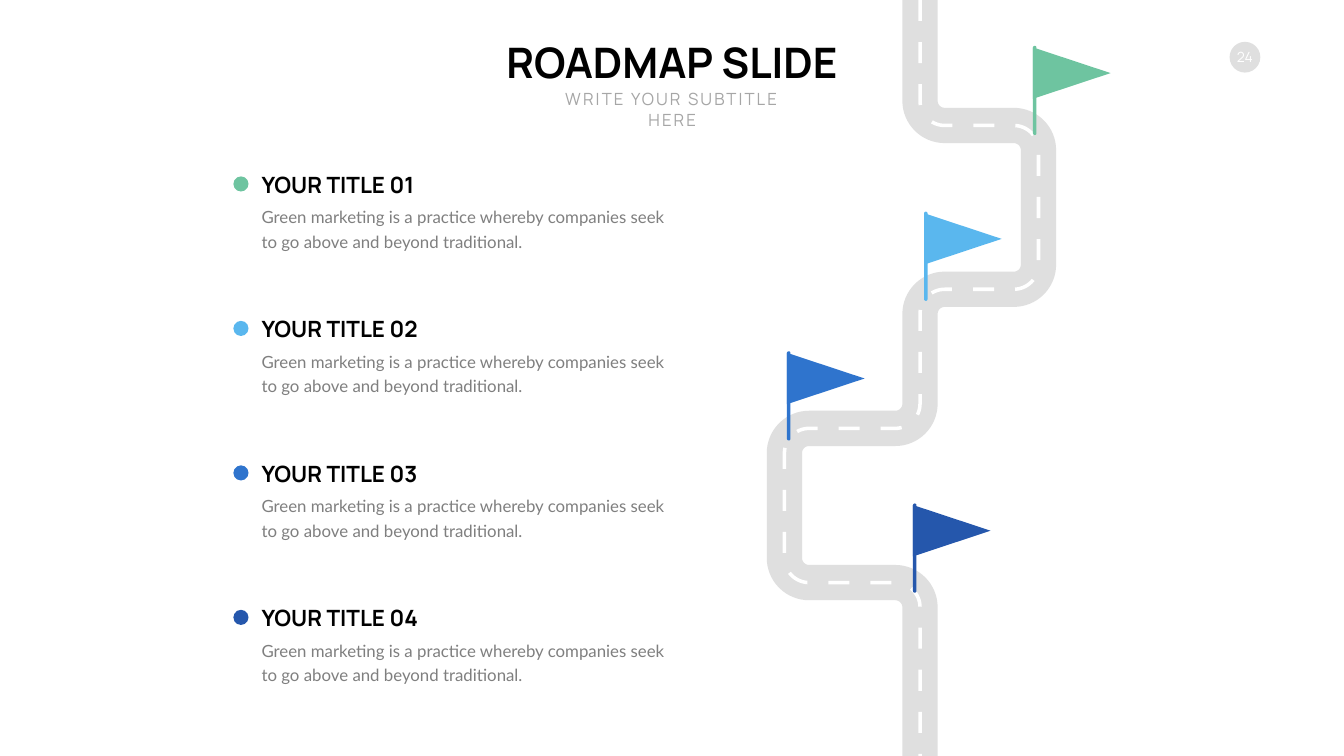
from itertools import pairwise
from math import cos, pi, sin
from pptx import Presentation
from pptx.dml.color import RGBColor
from pptx.enum.shapes import MSO_SHAPE
from pptx.enum.text import MSO_ANCHOR, MSO_AUTO_SIZE, PP_ALIGN
from pptx.util import Pt

# Content, lengths in px (100 px to the inch)
PX = 9144
WIDE, HIGH = 2666, 1500
TITLE, SUBTITLE, PAGE = "ROADMAP SLIDE", "WRITE YOUR SUBTITLE HERE", "24"
BODY = "Green marketing is a practice whereby companies seek to go above and beyond traditional."
# heading, heading width, colour, flag left, flag top
STEPS = [
    ("YOUR TITLE 01", 323, "6EC4A0", 2049, 91),
    ("YOUR TITLE 02", 332, "5AB7EE", 1833, 420),
    ("YOUR TITLE 03", 334, "2F74CD", 1561, 697),
    ("YOUR TITLE 04", 337, "2557AC", 1811, 999),
]
TURNS = [(1825, 0), (1825, 249), (2060, 249), (2060, 574), (1825, 574),
         (1825, 850), (1556, 850), (1556, 1156), (1825, 1156), (1825, HIGH)]
BEND, ROAD, MARK = 49, 35, 3.5  # bend radius, half widths
DASH, PITCH = 41.7, 83.4
STEP_TOP, STEP_GAP = 333, 286.67
GREY, WHITE, BLACK = "DFDFDF", "FFFFFF", "000000"

deck = Presentation()
deck.slide_width, deck.slide_height = WIDE * PX, HIGH * PX
slide = deck.slides.add_slide(deck.slide_layouts[6])
shapes = slide.shapes


def emu(*values):
    return [round(v * PX) for v in values]


def tint(text):
    return RGBColor.from_string(text)


def paint(shape, color):
    shape.shadow.inherit = False
    shape.fill.solid()
    shape.fill.fore_color.rgb = tint(color)
    shape.line.fill.background()
    return shape


def preset(kind, box, color):
    return paint(shapes.add_shape(kind, *emu(*box)), color)


def outline(loops, color):
    pen = shapes.build_freeform(*emu(*loops[0][0]))
    for i, loop in enumerate(loops):
        if i:
            pen.move_to(*emu(*loop[0]))
        pen.add_line_segments([emu(*p) for p in loop[1:]], close=True)
    return paint(pen.convert_to_shape(), color)


def write(frame, text, size, font, color, bold=False, align=PP_ALIGN.LEFT):
    para = frame.paragraphs[0]
    para.alignment = align
    run = para.add_run()
    run.text = text
    run.font.size, run.font.name, run.font.bold = Pt(size), font, bold
    run.font.color.rgb = tint(color)
    return para, run


def label(box, wrap, *style, **more):
    frame = shapes.add_textbox(*emu(*box)).text_frame
    frame.word_wrap = wrap
    frame.auto_size = MSO_AUTO_SIZE.SHAPE_TO_FIT_TEXT
    return frame, *write(frame, *style, **more)


def trace(turns):
    """Centre line as (distance, point, direction), with round bends."""
    knots = [complex(*t) for t in turns]
    ways = [(b - a) / abs(b - a) for a, b in pairwise(knots)]
    line = [(knots[0], ways[0])]
    for knot, (u, v) in zip(knots[1:], pairwise(ways)):
        hub = knot + BEND * (v - u)
        for i in range(17):
            t = pi / 2 * i / 16
            line.append((hub + BEND * (u * sin(t) - v * cos(t)),
                         u * cos(t) + v * sin(t)))
    line.append((knots[-1], ways[-1]))
    track, run = [(0, *line[0])], 0
    for (a, _), (b, way) in pairwise(line):
        run += abs(b - a)
        track.append((run, b, way))
    return track


def locate(track, dist):
    for (s, a, u), (e, b, v) in pairwise(track):
        if s <= dist <= e:
            t = (dist - s) / (e - s)
            return dist, a + (b - a) * t, u + (v - u) * t


def strip(track, start, end, half):
    part = [locate(track, start), *(k for k in track if start < k[0] < end),
            locate(track, end)]
    left = [p + way * 1j * half for _, p, way in part]
    right = [p - way * 1j * half for _, p, way in reversed(part)]
    return [(p.real, p.imag) for p in left + right]


# Page number
badge = preset(MSO_SHAPE.OVAL, (2439, 83, 61, 61), GREY).text_frame
badge.margin_left = badge.margin_right = badge.margin_top = badge.margin_bottom = 0
badge.word_wrap = False
badge.vertical_anchor = MSO_ANCHOR.MIDDLE
write(badge, PAGE, 20, "Manrope", WHITE, align=PP_ALIGN.CENTER)

# Title and subtitle
label((984, 67, 698, 111), False, TITLE, 60, "Manrope", BLACK, True, PP_ALIGN.CENTER)
_, _, sub = label((1062, 172, 543, 50), True, SUBTITLE, 24, "Manrope", "A6A6A6",
                  align=PP_ALIGN.CENTER)
sub.font._element.set("spc", "300")

# Road and lane marks
track = trace(TURNS)
total = track[-1][0]
outline([strip(track, 0, total, ROAD)], GREY)
count = int(total // PITCH) + 1
outline([strip(track, i * PITCH, min(i * PITCH + DASH, total), MARK)
         for i in range(count)], WHITE)

# Flags, headings, texts and dots
for i, (head, wide, color, x, y) in enumerate(STEPS):
    outline([[(x, y + 3), (x, y + 105), (x + 154, y + 54)]], color)
    pole = preset(MSO_SHAPE.ROUNDED_RECTANGLE, (x, y, 7, 177), color)
    pole.adjustments[0] = 0.5

    top = STEP_TOP + i * STEP_GAP
    _, para, _ = label((509, top + 64, 852, 103), True, BODY, 24, "Lato", "7F7F7F")
    para.line_spacing, para.space_before = Pt(35), Pt(4.8)
    frame, _, _ = label((509, top, wide, 64), False, head, 32, "Manrope", BLACK, True)
    frame.vertical_anchor = MSO_ANCHOR.BOTTOM
    preset(MSO_SHAPE.OVAL, (463, top + 17, 30, 30), color)

deck.save("out.pptx")
